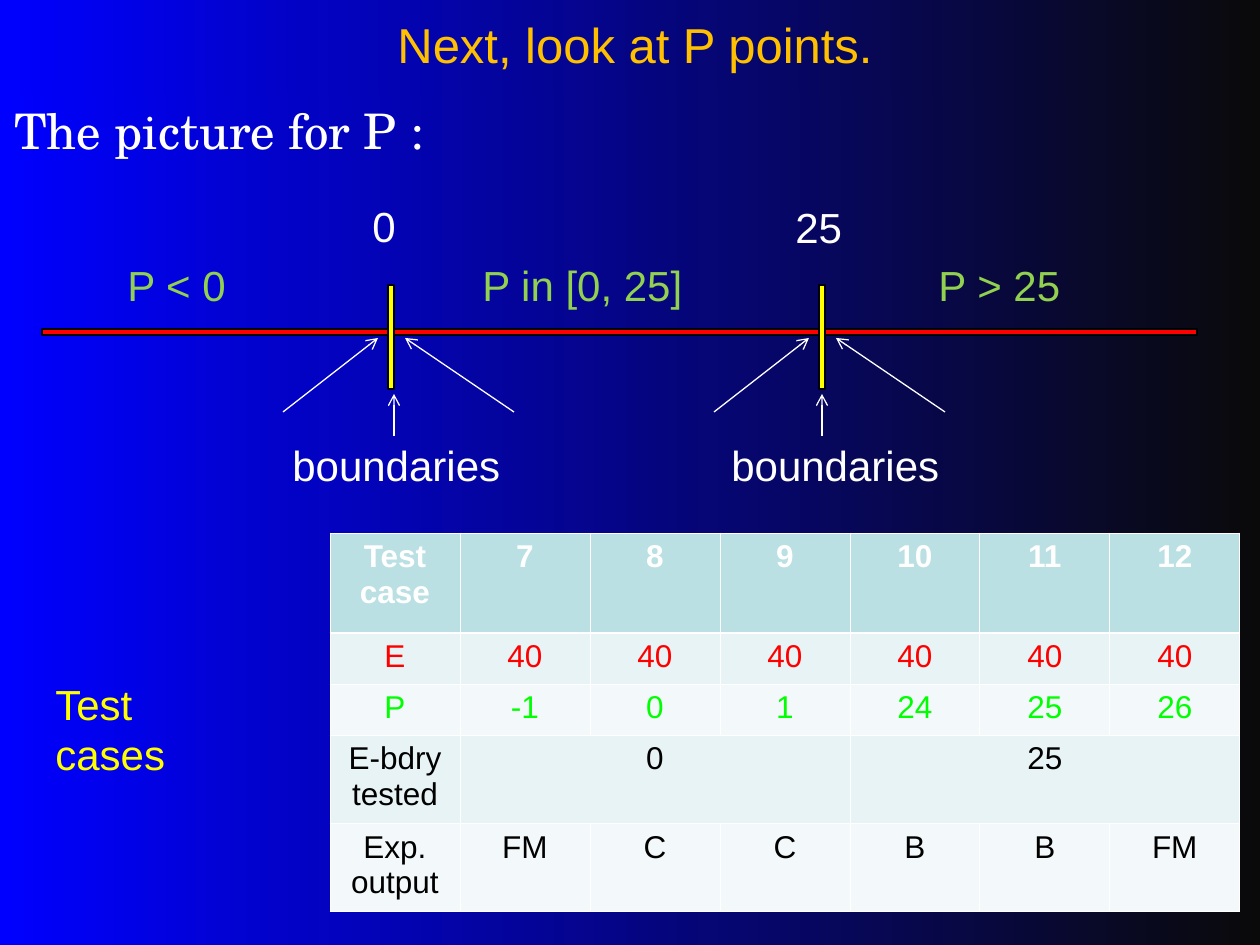
from dataclasses import dataclass

from lxml.etree import SubElement
from pptx import Presentation
from pptx.dml.color import RGBColor
from pptx.enum.shapes import MSO_CONNECTOR, MSO_SHAPE
from pptx.enum.text import MSO_ANCHOR, MSO_AUTO_SIZE, PP_ALIGN
from pptx.oxml.ns import qn
from pptx.util import Emu, Pt


@dataclass(frozen=True)
class Theme:
    """Colours, fonts and type sizes of the slide."""
    sans: str = "Arial"
    serif: str = "TeX Gyre Schola"
    heading: int = 28
    label: int = 24
    cell: int = 18
    left_blue: str = "0000FF"
    right_black: str = "0A0A0A"
    white: str = "FFFFFF"
    black: str = "000000"
    gold: str = "FFC000"
    green: str = "92D050"
    lime: str = "00FF00"
    red: str = "FF0000"
    yellow: str = "FFFF00"
    header: str = "BBE0E3"
    band: str = "E7F3F4"
    pale: str = "F3F9FA"
    hairline: float = 0.75
    border: float = 0.45
    header_border: float = 1.47


@dataclass(frozen=True)
class Boundary:
    """A boundary value on the number line, with the places of its labels."""
    value: str
    tick: int
    stem: int
    value_box: tuple
    caption_left: int


THEME = Theme()
BOUNDARIES = (
    Boundary("0", 391, 394, (360, 194, 60, 63), 280),
    Boundary("25", 822, 822, (783, 195, 84, 63), 719),
)
RANGES = (("P < 0", 115, 150), ("P in [0, 25]", 470, 250), ("P > 25", 926, 170))
CASES = (
    (("Test case", "7", "8", "9", "10", "11", "12"), 100, THEME.white, THEME.header),
    (("E",) + ("40",) * 6, 51, THEME.red, THEME.band),
    (("P", "-1", "0", "1", "24", "25", "26"), 51, THEME.lime, THEME.pale),
    (("E-bdry\ntested", "0", "", "", "25", "", ""), 88, THEME.black, THEME.band),
    (("Exp. output", "FM", "C", "C", "B", "B", "FM"), 88, THEME.black, THEME.pale),
)
BOUNDARY_ROW = 3
COLUMN_WIDTH = 130


def px(length):
    """Turn pixels into EMU."""
    return Emu(round(length * 914400 / 126))


def rgb(colour):
    """Turn a hex string into a colour."""
    return RGBColor.from_string(colour)


def write(frame, text, size, colour, font=THEME.sans, align=PP_ALIGN.LEFT, bold=False):
    """Set the text of a frame and format its runs."""
    frame.text = text
    for paragraph in frame.paragraphs:
        paragraph.alignment = align
        for span in paragraph.runs:
            span.font.name = font
            span.font.size = Pt(size)
            span.font.bold = bold
            span.font.color.rgb = rgb(colour)


def fill_gradient(fill):
    """Fill with the blue to black gradient, from left to right."""
    fill.gradient()
    fill.gradient_angle = 0
    for stop, colour in zip(fill.gradient_stops, (THEME.left_blue, THEME.right_black)):
        stop.color.rgb = rgb(colour)


def add_title(page, text):
    """Place and format the title placeholder."""
    title = page.shapes.title
    title.left, title.top, title.width, title.height = map(px, (10, 0, 1250, 87))
    title.text_frame.vertical_anchor = MSO_ANCHOR.MIDDLE
    write(title.text_frame, text, THEME.heading, THEME.gold, align=PP_ALIGN.CENTER)


def add_body(page, text):
    """Add the gradient panel with the lead text."""
    box = page.shapes.add_textbox(*map(px, (2, 94, 1258, 851)))
    fill_gradient(box.fill)
    box.text_frame.word_wrap = True
    write(box.text_frame, text, THEME.heading, THEME.white, THEME.serif)


def add_label(page, text, bounds, colour=THEME.white):
    """Add a left-aligned label in a box wide enough for its lines."""
    box = page.shapes.add_textbox(*map(px, bounds))
    box.text_frame.word_wrap = True
    box.text_frame.auto_size = MSO_AUTO_SIZE.SHAPE_TO_FIT_TEXT
    write(box.text_frame, text, THEME.label, colour)


def add_bar(page, bounds, colour):
    """Add a thin outlined bar."""
    bar = page.shapes.add_shape(MSO_SHAPE.RECTANGLE, *map(px, bounds))
    bar.shadow.inherit = False
    bar.fill.solid()
    bar.fill.fore_color.rgb = rgb(colour)
    bar.line.color.rgb = rgb(THEME.black)
    bar.line.width = Pt(THEME.hairline)


def add_arrow(page, start, end):
    """Add a thin white arrow."""
    arrow = page.shapes.add_connector(MSO_CONNECTOR.STRAIGHT, *map(px, start + end))
    arrow.line.color.rgb = rgb(THEME.white)
    arrow.line.width = Pt(THEME.hairline)
    properties = arrow.element.spPr
    SubElement(properties.find(qn("a:ln")), qn("a:tailEnd"), type="arrow")
    SubElement(properties, qn("a:effectLst"))


def add_number_line(page):
    """Draw the line with its ranges, ticks, arrows and captions."""
    add_bar(page, (42, 329, 1155, 6), THEME.red)
    for text, left, width in RANGES:
        add_label(page, text, (left, 253, width, 63), THEME.green)
    for boundary in BOUNDARIES:
        tick = boundary.tick
        add_bar(page, (tick - 3, 285, 6, 104), THEME.yellow)
        add_arrow(page, (tick - 108, 412), (tick - 13, 338))
        add_arrow(page, (tick + 123, 412), (tick + 14, 338))
        add_arrow(page, (boundary.stem, 436), (boundary.stem, 394))
        add_label(page, "boundaries", (boundary.caption_left, 433, 250, 63))
        add_label(page, boundary.value, boundary.value_box)


def set_borders(cell, top, bottom):
    """Give a cell white borders, with its own top and bottom widths."""
    widths = {"L": THEME.border, "R": THEME.border, "T": top, "B": bottom}
    properties = cell._tc.get_or_add_tcPr()
    for side, width in widths.items():
        line = SubElement(properties, qn(f"a:ln{side}"), w=str(Pt(width)))
        SubElement(SubElement(line, qn("a:solidFill")), qn("a:srgbClr"), val=THEME.white)


def add_cases(page):
    """Add the table of test cases."""
    columns = len(CASES[0][0])
    height = sum(case[1] for case in CASES)
    bounds = map(px, (330, 533, COLUMN_WIDTH * columns, height))
    table = page.shapes.add_table(len(CASES), columns, *bounds).table
    for column in table.columns:
        column.width = px(COLUMN_WIDTH)
    for index, (texts, row_height, colour, shade) in enumerate(CASES):
        table.rows[index].height = px(row_height)
        top = THEME.header_border if index == 1 else THEME.border
        bottom = THEME.header_border if index == 0 else THEME.border
        for cell, text in zip(table.rows[index].cells, texts):
            set_borders(cell, top, bottom)
            cell.fill.solid()
            cell.fill.fore_color.rgb = rgb(shade)
            write(cell.text_frame, text, THEME.cell, colour,
                  align=PP_ALIGN.CENTER, bold=index == 0)
    for first in (1, 4):
        table.cell(BOUNDARY_ROW, first).merge(table.cell(BOUNDARY_ROW, first + 2))


def main():
    """Build and save the slide."""
    deck = Presentation()
    deck.slide_width, deck.slide_height = px(1260), px(945)
    page = deck.slides.add_slide(deck.slide_layouts[5])
    fill_gradient(page.background.fill)
    add_body(page, "The picture for P :")
    add_title(page, "Next, look at P points.")
    add_number_line(page)
    add_cases(page)
    add_label(page, "Test\ncases", (43, 672, 150, 113), THEME.yellow)
    deck.save("out.pptx")


if __name__ == "__main__":
    main()
